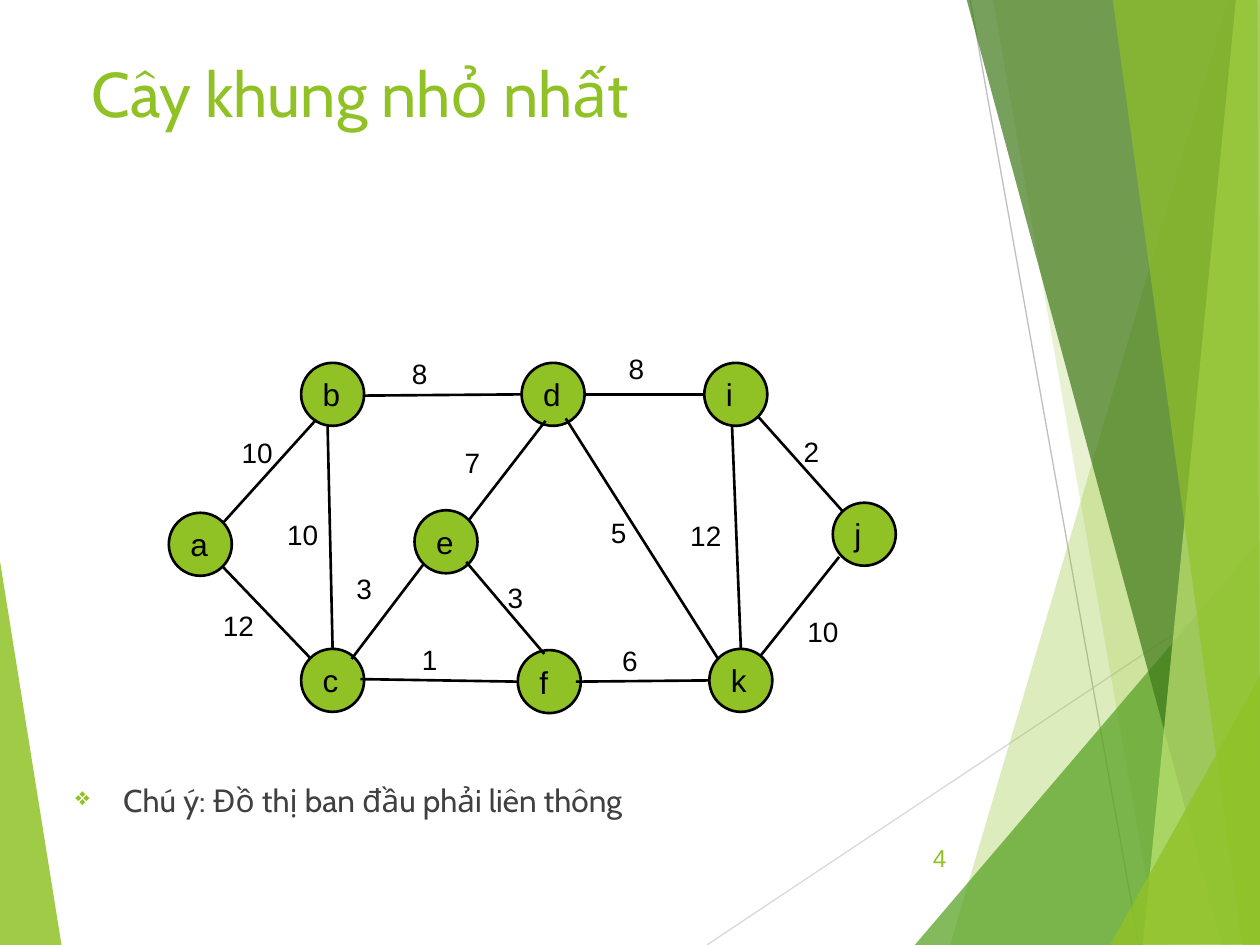
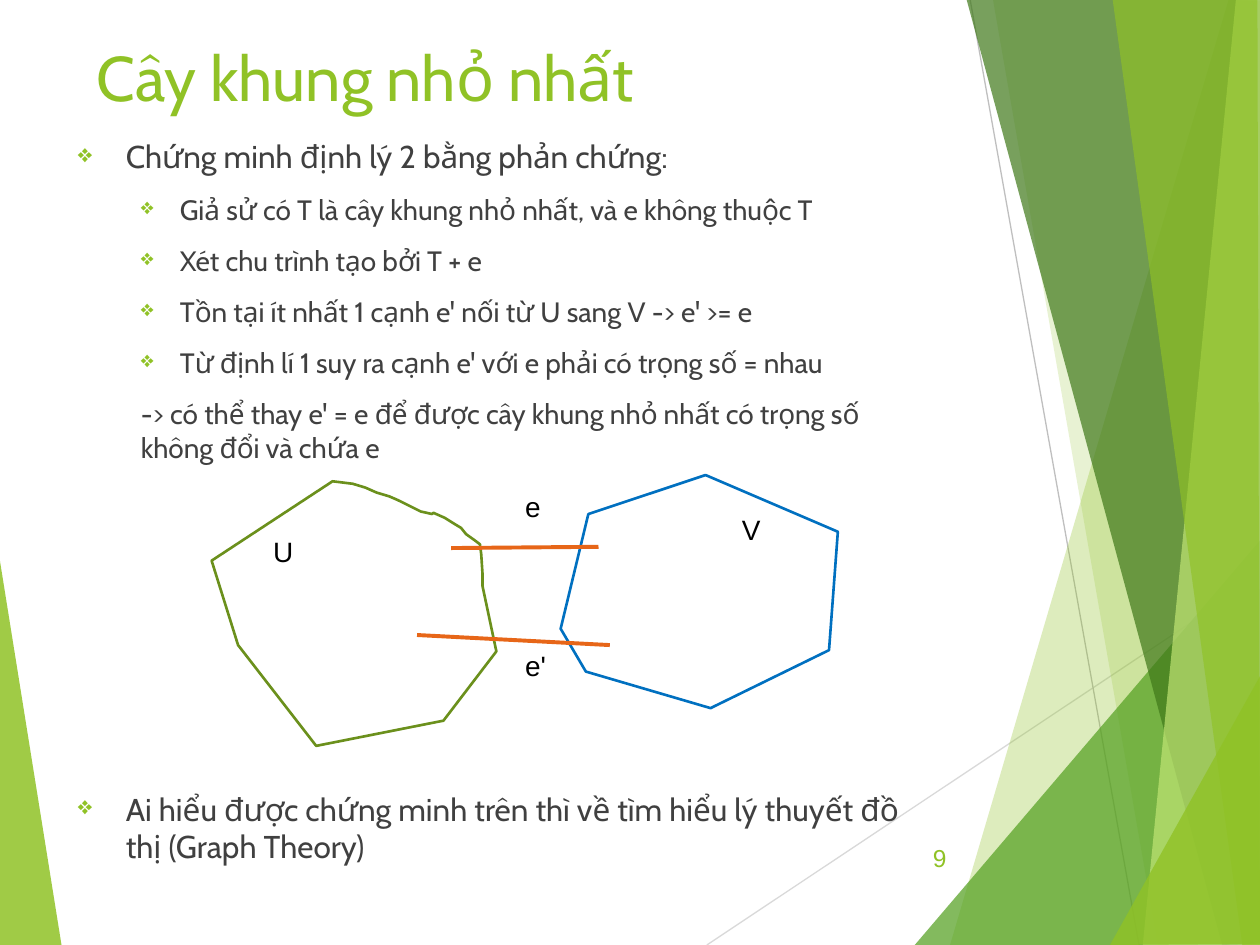
from lxml.etree import SubElement
from pptx import Presentation
from pptx.dml.color import RGBColor
from pptx.enum.shapes import MSO_CONNECTOR, MSO_SHAPE
from pptx.enum.text import MSO_ANCHOR, PP_ALIGN
from pptx.oxml.ns import qn
from pptx.util import Inches, Pt

GREEN = RGBColor(0x90, 0xC2, 0x26)
LEAF = RGBColor(0x54, 0xA0, 0x21)
FOREST = RGBColor(0x3F, 0x78, 0x19)
LIME = RGBColor(0xC0, 0xE4, 0x74)
OLIVE = RGBColor(0x6B, 0x90, 0x1C)
BLUE = RGBColor(0x00, 0x70, 0xC0)
ORANGE = RGBColor(0xE7, 0x66, 0x18)
CHARCOAL = RGBColor(0x40, 0x40, 0x40)
LIGHT_GRAY = RGBColor(0xD9, 0xD9, 0xD9)
GRAY = RGBColor(0xBF, 0xBF, 0xBF)
BLACK = RGBColor(0, 0, 0)
WHITE = RGBColor(0xFF, 0xFF, 0xFF)

TITLE = "Cây khung nhỏ nhất"
FORMATS = {
    "title": {"name": "Cabin", "size": Pt(36), "color": GREEN},
    "level 1": {"name": "Cabin", "size": Pt(18), "color": CHARCOAL},
    "level 2": {"name": "Cabin", "size": Pt(16), "color": CHARCOAL},
    "number": {"name": "Arial", "size": Pt(14), "color": GREEN},
    "node": {"name": "Arial", "size": Pt(18), "color": BLACK},
    "label": {"name": "Arial", "size": Pt(16), "color": BLACK},
}

# Paragraph styles: format, level, left margin, first-line indent, bullet
STYLES = {
    "main": ("level 1", 0, 0.38, -0.38, "❖"),
    "sub": ("level 2", 1, 0.81, -0.31, "❖"),
    "plain": ("level 2", 1, 0.5, 0, None),
}

# Background: thin lines, then translucent bands (colour, opacity %, corners)
LEFT_BAND = (GREEN, 85, [(-0.01, 4.39), (0.49, 7.51), (-0.01, 7.5)])
THIN_LINES = [((5.61, 7.5), (10.01, 4.57), LIGHT_GRAY),
              ((7.7, 0), (9.04, 7.5), GRAY)]
RIGHT_BANDS = [
    (GREEN, 30, [(9.75, 0), (7.54, 7.5), (10.02, 7.51), (10.01, 0.01)]),
    (GREEN, 20, [(7.88, -0.01), (9.19, 7.5), (10.01, 7.5), (10.01, -0.01)]),
    (LEAF, 72, [(7.26, 7.5), (10, 4.29), (10.01, 7.5)]),
    (FOREST, 70, [(7.67, -0.01), (9.7, 7.5), (10.01, 7.49), (10.01, -0.01)]),
    (LIME, 70, [(9.81, -0.01), (9.07, 7.5), (10.01, 7.5), (10, -0.01)]),
    (GREEN, 65, [(8.83, -0.01), (9.86, 7.5), (10, 7.5), (9.98, -0.01)]),
    (GREEN, 80, [(8.81, 7.5), (10.01, 5.35), (10.01, 7.49)]),
]

# Weighted graph: node corners, then edges (start, end, weight, label corner)
NODE_SIZE = 0.5
NODES = {
    "a": (1.34, 4.07), "b": (2.39, 2.88), "d": (4.14, 2.88),
    "i": (5.59, 2.88), "c": (2.39, 5.15), "e": (3.29, 4.05),
    "f": (4.11, 5.16), "k": (5.63, 5.15), "j": (6.61, 3.99),
}
EDGES = [
    ((2.51, 3.33), (1.77, 4.15), "10", (1.82, 3.41)),
    ((4.33, 3.34), (3.72, 4.13), "7", (3.59, 3.49)),
    ((3.36, 4.48), (2.79, 5.23), "3", (2.73, 4.49)),
    ((6.66, 4.42), (6.04, 5.2), "10", (6.31, 4.83)),
    ((6.02, 3.31), (6.69, 4.06), "2", (6.28, 3.4)),
    ((4.49, 3.32), (5.7, 5.23), "5", (4.75, 4.04)),
    ((4.64, 3.13), (5.59, 3.13), "8", (4.89, 2.74)),
    ((3.7, 4.46), (4.32, 5.19), "3", (3.93, 4.56)),
    ((1.77, 4.5), (2.46, 5.22), "12", (1.67, 4.78)),
    ((2.88, 3.14), (4.14, 3.13), "8", (3.17, 2.78)),
    ((4.57, 5.41), (5.63, 5.4), "6", (4.84, 5.06)),
    ((2.86, 5.39), (4.11, 5.41), "1", (3.25, 5.05)),
    ((5.88, 5.15), (5.81, 3.38), "12", (5.38, 4.07)),
    ((2.6, 3.38), (2.64, 5.15), "10", (2.18, 4.06)),
]
GRAPH_NOTE = [("main", "Chú ý: Đồ thị ban đầu phải liên thông", 10)]

# Proof: (style, text, space before in points)
PROOF = [
    ("main", "Chứng minh định lý 2 bằng phản chứng:", 10),
    ("sub", "Giả sử có T là cây khung nhỏ nhất, và e không thuộc T", 10),
    ("sub", "Xét chu trình tạo bởi T + e", 10),
    ("sub", "Tồn tại ít nhất 1 cạnh e' nối từ U sang V -> e' >= e", 10),
    ("sub", "Từ định lí 1 suy ra cạnh e' với e phải có trọng số = nhau", 10),
    ("plain", "-> có thể thay e' = e để được cây khung nhỏ nhất "
              "có trọng số không đổi và chứa e", 10),
    ("main", "Ai hiểu được chứng minh trên thì về tìm hiểu lý thuyết "
             "đồ thị (Graph Theory)", 186),
]
SET_U = [(2.64, 3.82), (2.72, 3.83), (2.8, 3.84), (2.9, 3.87), (2.99, 3.91),
         (3.09, 3.94), (3.16, 3.97), (3.24, 4.01), (3.34, 4.06), (3.43, 4.08),
         (3.44, 4.07), (3.53, 4.11), (3.61, 4.16), (3.66, 4.19), (3.7, 4.24),
         (3.77, 4.29), (3.81, 4.32), (3.82, 4.4), (3.83, 4.55), (3.83, 4.65),
         (3.94, 5.17), (3.52, 5.72), (2.51, 5.92), (1.89, 5.12), (1.68, 4.45)]
SET_V = [(5.6, 3.77), (4.67, 4.08), (4.45, 4.99), (4.65, 5.33),
         (5.64, 5.62), (6.58, 5.16), (6.65, 4.22)]
CROSSING_EDGES = [((3.58, 4.35), (4.75, 4.34)), ((3.31, 5.04), (4.84, 5.12))]
SET_LABELS = [("U", (2.07, 4.19)), ("V", (5.79, 4.02)),
              ("e", (4.07, 3.84)), ("e'", (4.07, 5.1))]


def add_span(para, text, format_name):
    """Add a run to the paragraph and apply a named format."""
    span = para.add_run()
    span.text = text
    for key, value in FORMATS[format_name].items():
        if key == "color":
            span.font.color.rgb = value
        else:
            setattr(span.font, key, value)


def add_box(page, left, top, width, height):
    """Add an empty wrapping text box and return its text frame."""
    frame = page.shapes.add_textbox(*map(Inches, (left, top, width, height))).text_frame
    frame.word_wrap = True
    return frame


def add_label(page, text, corner):
    """Add a short diagram label."""
    add_span(add_box(page, *corner, 0.76, 0.5).paragraphs[0], text, "label")


def add_line(page, start, end, color, weight):
    """Draw a straight line without a shadow."""
    line = page.shapes.add_connector(MSO_CONNECTOR.STRAIGHT, *map(Inches, start + end))
    line.line.color.rgb = color
    line.line.width = Pt(weight)
    SubElement(line._element.spPr, qn("a:effectLst"))


def add_polygon(page, corners, fill, opacity=100, outline=None):
    """Draw a closed outline with a fill and an optional border."""
    first, *rest = [tuple(map(Inches, corner)) for corner in corners]
    builder = page.shapes.build_freeform(*first)
    builder.add_line_segments(rest, close=True)
    shape = builder.convert_to_shape()
    shape.shadow.inherit = False
    shape.fill.solid()
    shape.fill.fore_color.rgb = fill
    if opacity < 100:
        color = shape._element.spPr.find(f"{qn('a:solidFill')}/{qn('a:srgbClr')}")
        SubElement(color, qn("a:alpha"), val=str(opacity * 1000))
    if outline is None:
        shape.line.fill.background()
    else:
        shape.line.color.rgb = outline
        shape.line.width = Pt(1.5)


def add_node(page, name, corner):
    """Draw a graph node as a named circle."""
    node = page.shapes.add_shape(
        MSO_SHAPE.OVAL, *map(Inches, (*corner, NODE_SIZE, NODE_SIZE)))
    node.shadow.inherit = False
    node.fill.solid()
    node.fill.fore_color.rgb = GREEN
    node.line.color.rgb = BLACK
    node.line.width = Pt(1.5)
    node.text_frame.vertical_anchor = MSO_ANCHOR.MIDDLE
    para = node.text_frame.paragraphs[0]
    para.alignment = PP_ALIGN.LEFT
    add_span(para, name, "node")


def add_body(page, area, lines):
    """Write styled paragraphs into one text box."""
    frame = add_box(page, *area)
    for index, (style, text, space) in enumerate(lines):
        format_name, level, margin, indent, bullet = STYLES[style]
        para = frame.add_paragraph() if index else frame.paragraphs[0]
        para.level = level
        para.space_before = Pt(space)
        add_span(para, text, format_name)
        properties = para._p.get_or_add_pPr()
        properties.set("marL", str(Inches(margin)))
        properties.set("indent", str(Inches(indent)))
        if bullet:
            color = SubElement(properties, qn("a:buClr"))
            SubElement(color, qn("a:srgbClr"), val=str(GREEN))
            SubElement(properties, qn("a:buSzPct"), val="80000")
            SubElement(properties, qn("a:buChar"), char=bullet)


def add_page(deck, title_corner, body_area, lines, number):
    """Add a page with background, title, body and page number."""
    page = deck.slides.add_slide(deck.slide_layouts[6])
    color, opacity, corners = LEFT_BAND
    add_polygon(page, corners, color, opacity)
    for start, end, color in THIN_LINES:
        add_line(page, start, end, color, 0.75)
    for color, opacity, corners in RIGHT_BANDS:
        add_polygon(page, corners, color, opacity)
    add_span(add_box(page, *title_corner, 6.94, 1.44).paragraphs[0], TITLE, "title")
    add_body(page, body_area, lines)
    frame = add_box(page, 7.05, 6.61, 0.56, 0.4)
    frame.vertical_anchor = MSO_ANCHOR.MIDDLE
    frame.paragraphs[0].alignment = PP_ALIGN.RIGHT
    add_span(frame.paragraphs[0], number, "number")
    return page


def build_graph_page(deck):
    """Build the page with the weighted graph."""
    page = add_page(deck, (0.63, 0.38), (0.5, 6.15, 6.94, 0.73), GRAPH_NOTE, "4")
    for name, corner in NODES.items():
        add_node(page, name, corner)
    for start, end, _, _ in EDGES:
        add_line(page, start, end, BLACK, 1.5)
    for _, _, weight, corner in EDGES:
        add_label(page, weight, corner)


def build_proof_page(deck):
    """Build the page with the proof and its two vertex sets."""
    page = add_page(deck, (0.67, 0.26), (0.52, 1.04, 7, 4.24), PROOF, "9")
    for corners, outline in ((SET_U, OLIVE), (SET_V, BLUE)):
        add_polygon(page, corners, WHITE, outline=outline)
    for start, end in CROSSING_EDGES:
        add_line(page, start, end, ORANGE, 2.25)
    for text, corner in SET_LABELS:
        add_label(page, text, corner)


deck = Presentation()
deck.slide_width, deck.slide_height = Inches(10), Inches(7.5)
build_graph_page(deck)
build_proof_page(deck)
deck.save("out.pptx")
